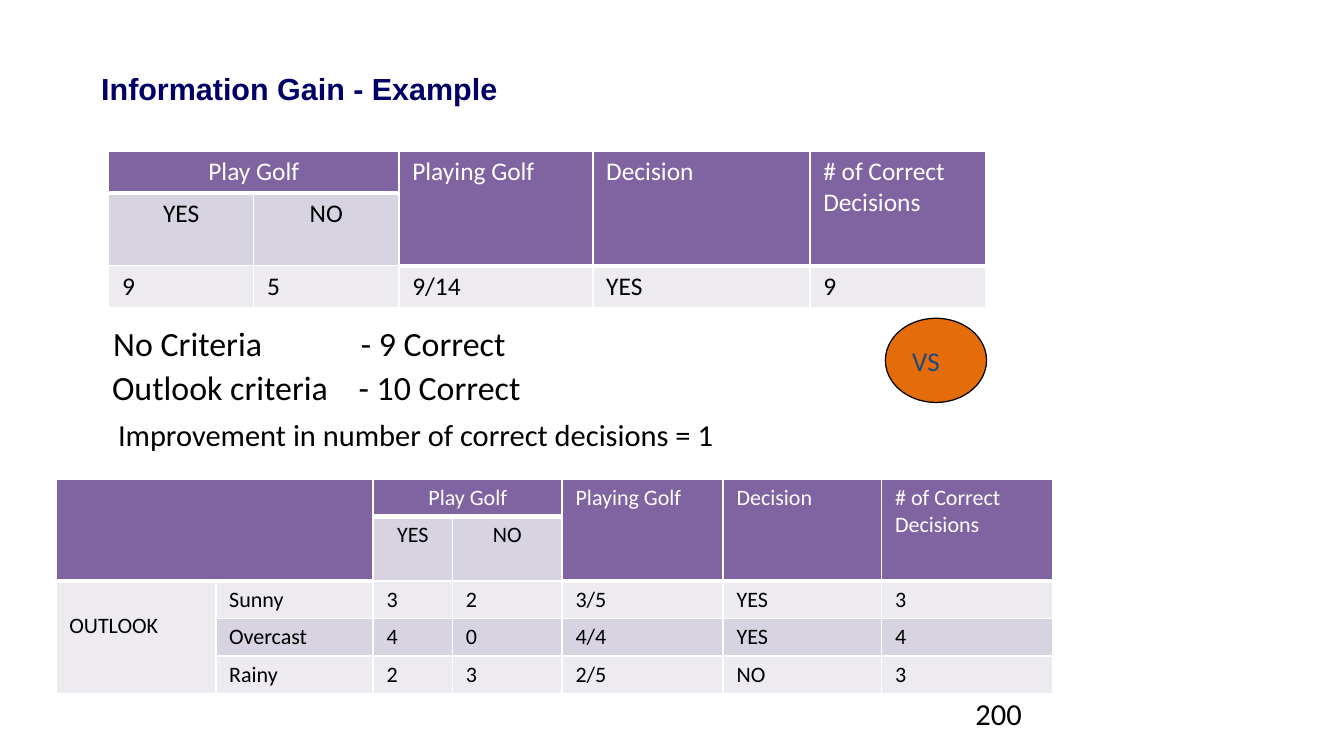
import dataclasses

import lxml.etree
import pptx
import pptx.dml.color
import pptx.enum.shapes
import pptx.enum.text
import pptx.oxml.ns
import pptx.util

ALIGN = pptx.enum.text.PP_ALIGN
ANCHOR = pptx.enum.text.MSO_ANCHOR
AUTO_SIZE = pptx.enum.text.MSO_AUTO_SIZE


@dataclasses.dataclass(frozen=True)
class Theme:
    """Colours, fonts and type sizes of the slide."""
    title_font: str = "Arial"
    body_font: str = "Calibri"
    navy: str = "000066"
    black: str = "000000"
    white: str = "FFFFFF"
    purple: str = "8064A2"
    bands: tuple = ("EDEAF0", "D8D3E0")
    orange: str = "E46C0A"
    blue: str = "1F497D"
    title: int = 18
    criteria: int = 20
    note: int = 18
    badge: int = 16
    cell_large: int = 15
    cell_small: int = 13


class SlideBuilder:
    """Places elements on one slide, with lengths in percent of its size."""

    def __init__(self, presentation, theme):
        self.presentation = presentation
        self.theme = theme
        self.slide = presentation.slides.add_slide(presentation.slide_layouts[5])

    def across(self, share):
        return round(self.presentation.slide_width * share / 100)

    def down(self, share):
        return round(self.presentation.slide_height * share / 100)

    def box(self, left, top, width, height):
        return self.across(left), self.down(top), self.across(width), self.down(height)

    def apply(self, target, values):
        for name, value in values.items():
            setattr(target, name, value)

    def add_run(self, paragraph, text, size, color, font=None, bold=False, align=ALIGN.LEFT):
        paragraph.alignment = align
        run = paragraph.add_run()
        run.text = text
        self.apply(run.font, {"name": font or self.theme.body_font,
                              "size": pptx.util.Pt(size), "bold": bold})
        run.font.color.rgb = pptx.dml.color.RGBColor.from_string(color)

    def title(self, text, area):
        shape = self.slide.shapes.title
        self.apply(shape, dict(zip(("left", "top", "width", "height"), self.box(*area))))
        self.apply(shape.text_frame, {"margin_left": 0, "margin_top": 0, "margin_right": 0,
                                      "margin_bottom": 0, "vertical_anchor": ANCHOR.MIDDLE})
        self.add_run(shape.text_frame.paragraphs[0], text, self.theme.title,
                     self.theme.navy, self.theme.title_font, True)

    def text(self, text, area, size, tab=None, wrap=True, fit=AUTO_SIZE.SHAPE_TO_FIT_TEXT):
        frame = self.slide.shapes.add_textbox(*self.box(*area)).text_frame
        self.apply(frame, {"word_wrap": wrap, "auto_size": fit})
        paragraph = frame.paragraphs[0]
        if tab:
            properties = paragraph._p.get_or_add_pPr()
            stops = lxml.etree.SubElement(properties, pptx.oxml.ns.qn("a:tabLst"))
            lxml.etree.SubElement(stops, pptx.oxml.ns.qn("a:tab"),
                                  pos=str(self.across(tab)), algn="l")
        self.add_run(paragraph, text, size, self.theme.black)

    def badge(self, text, area):
        shape = self.slide.shapes.add_shape(
            pptx.enum.shapes.MSO_SHAPE.OVAL, *self.box(*area))
        shape.shadow.inherit = False
        shape.fill.solid()
        shape.fill.fore_color.rgb = pptx.dml.color.RGBColor.from_string(self.theme.orange)
        shape.line.color.rgb = pptx.dml.color.RGBColor.from_string(self.theme.black)
        shape.line.width = pptx.util.Pt(0.75)
        self.apply(shape.text_frame, {"word_wrap": False, "vertical_anchor": ANCHOR.MIDDLE})
        self.add_run(shape.text_frame.paragraphs[0], text, self.theme.badge, self.theme.blue)

    def borders(self, cell, bottom):
        properties = cell._tc.get_or_add_tcPr()
        widths = {"a:lnL": 1, "a:lnR": 1, "a:lnT": 1, "a:lnB": bottom}
        for position, (tag, width) in enumerate(widths.items()):
            line = lxml.etree.Element(pptx.oxml.ns.qn(tag), w=str(int(pptx.util.Pt(width))))
            fill = lxml.etree.SubElement(line, pptx.oxml.ns.qn("a:solidFill"))
            lxml.etree.SubElement(fill, pptx.oxml.ns.qn("a:srgbClr"), val=self.theme.white)
            properties.insert(position, line)

    def cell(self, cell, text, row, size):
        header = row == 0
        self.apply(cell, {"margin_left": self.across(1), "margin_right": self.across(1),
                          "margin_top": self.down(0.7), "margin_bottom": self.down(0.7)})
        cell.fill.solid()
        cell.fill.fore_color.rgb = pptx.dml.color.RGBColor.from_string(
            self.theme.purple if header else self.theme.bands[row % 2])
        self.borders(cell, 3 if header else 1)
        paragraph = cell.text_frame.paragraphs[0]
        if text:
            centred = row == 1 or text == "Play Golf"
            self.add_run(paragraph, text, size,
                         self.theme.white if header else self.theme.black,
                         align=ALIGN.CENTER if centred else ALIGN.LEFT)
        else:
            lxml.etree.SubElement(paragraph._p, pptx.oxml.ns.qn("a:endParaRPr"),
                                  sz=str(size * 100))

    def table(self, corner, columns, heights, rows, merges, size):
        area = self.box(*corner, sum(columns), sum(heights))
        table = self.slide.shapes.add_table(len(rows), len(columns), *area).table
        for column, share in zip(table.columns, columns):
            column.width = self.across(share)
        for row, share in zip(table.rows, heights):
            row.height = self.down(share)
        for row, texts in enumerate(rows):
            for column, text in enumerate(texts):
                self.cell(table.cell(row, column), text, row, size)
        for first, last in merges:
            table.cell(*first).merge(table.cell(*last))
        return table


def main():
    presentation = pptx.Presentation()
    presentation.slide_width = pptx.util.Inches(11.02)
    presentation.slide_height = pptx.util.Inches(6.2)
    theme = Theme()
    builder = SlideBuilder(presentation, theme)
    builder.title("Information Gain - Example", (7.53, 3.39, 90, 16.6))

    header = ["Play Golf", "", "Playing Golf", "Decision", "# of Correct Decisions"]
    classes = ["YES", "NO", "", "", ""]
    builder.table(
        (8.08, 20), (10.8, 10.8, 14.43, 16.15, 13.07), (5.48, 9.5, 5.48),
        [header, classes, ["9", "5", "9/14", "YES", "9"]],
        [((0, 0), (0, 1))] + [((0, column), (1, column)) for column in (2, 3, 4)],
        theme.cell_large)

    outlook = builder.table(
        (4.17, 63.39), (11.89, 11.71, 5.9, 8.17, 11.98, 11.8, 12.7),
        (4.88, 8.45, 4.88, 4.88, 4.88),
        [["", ""] + header,
         ["", ""] + classes,
         ["OUTLOOK", "Sunny", "3", "2", "3/5", "YES", "3"],
         ["", "Overcast", "4", "0", "4/4", "YES", "4"],
         ["", "Rainy", "2", "3", "2/5", "NO", "3"]],
        [((0, 0), (1, 1)), ((0, 2), (0, 3)), ((2, 0), (4, 0))]
        + [((0, column), (1, column)) for column in (4, 5, 6)],
        theme.cell_small)
    outlook.cell(2, 0).margin_top = builder.down(4.2)

    builder.badge("VS", (65.88, 42.1, 7.53, 11.13))
    builder.text("No Criteria\t- 9 Correct", (7.53, 41.94, 41.56, 7.1),
                 theme.criteria, tab=18.42)
    builder.text("Outlook criteria\t- 10 Correct", (7.44, 47.74, 41.56, 7.1),
                 theme.criteria, tab=18.35)
    builder.text("Improvement in number of correct decisions = 1",
                 (7.89, 54.19, 46.64, 6.45), theme.note, wrap=False)
    builder.text("200", (71.69, 91.13, 20.87, 6.61), theme.note, fit=AUTO_SIZE.NONE)
    presentation.save("out.pptx")


if __name__ == "__main__":
    main()
